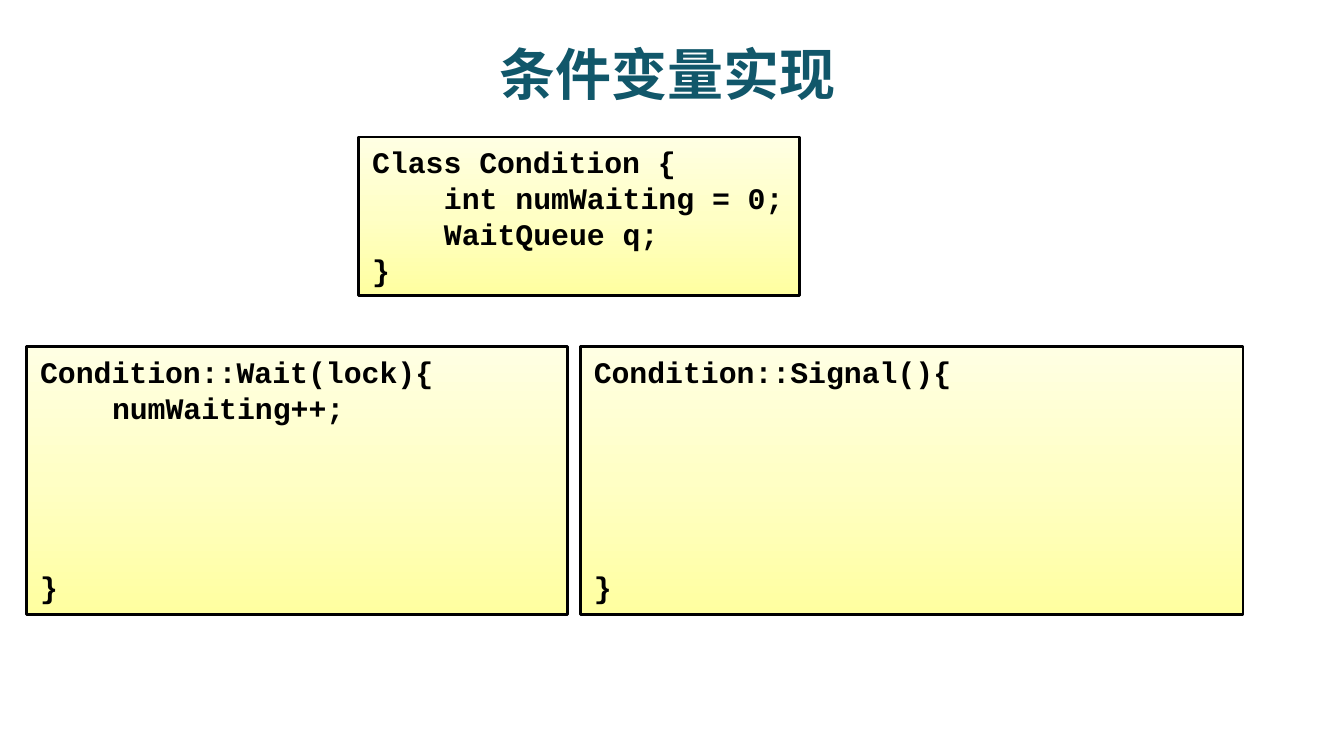
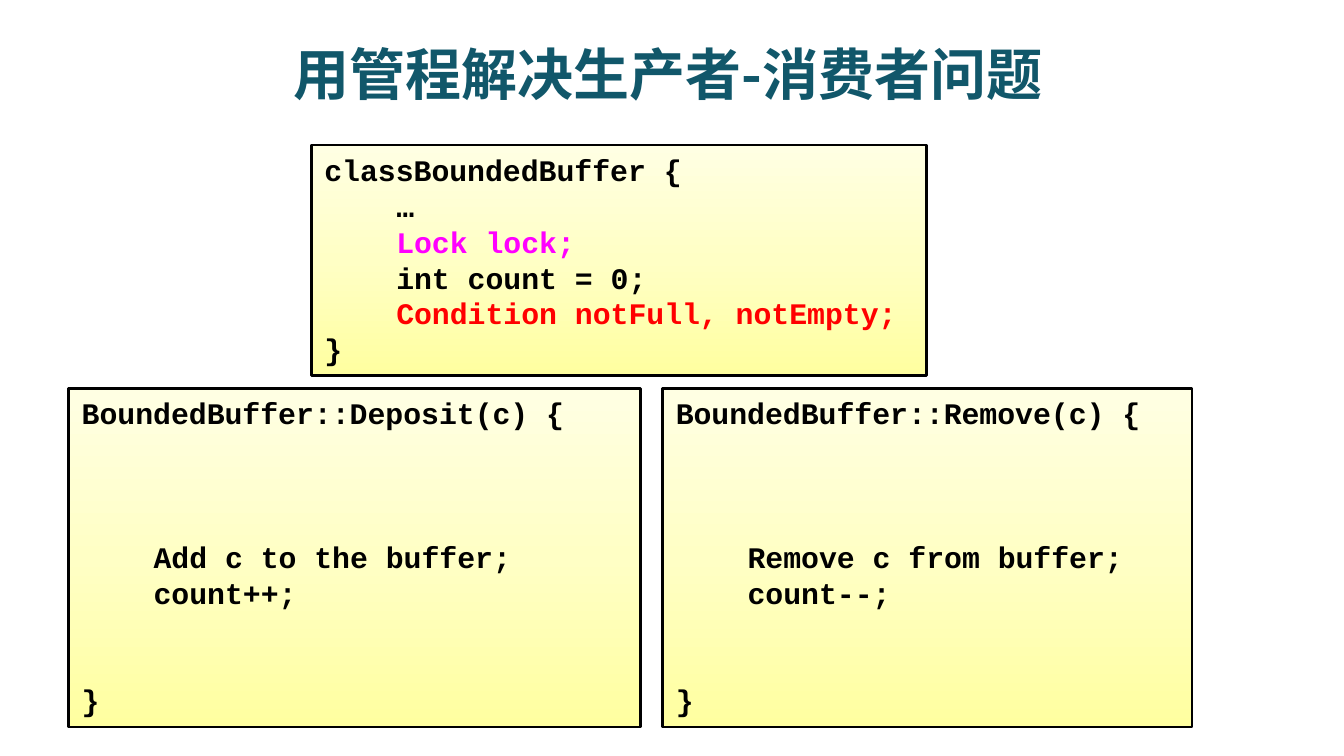
from copy import deepcopy

from pptx import Presentation
from pptx.dml.color import RGBColor
from pptx.enum.shapes import MSO_SHAPE
from pptx.enum.text import MSO_ANCHOR, PP_ALIGN
from pptx.util import Pt

PX = 4572  # 200 px to the inch
TITLE_FONT, CODE_FONT = "Noto Sans CJK SC", "Courier New"
TEAL, BLACK, MAGENTA, RED = "11576A", "000000", "FF00FF", "FF0000"
GRADIENT = [(0, "FFFFA0"), (0.5, "FFFFC5"), (1, "FFFFE3")]
LINE_PITCH = 19.2  # points
CODE_INDENT = 107  # four characters of code

# Each panel: left, top, width, height, code; an empty line leaves a gap
SLIDES = [
    ("条件变量实现", [
        (40, 516, 804, 398, ["Condition::Wait(lock){", "    numWaiting++;",
                             "", "", "", "", "}"]),
        (864, 516, 986, 398, ["Condition::Signal(){", "", "", "", "", "", "}"]),
        (534, 204, 656, 236, ["Class Condition {", "    int numWaiting = 0;",
                              "    WaitQueue q;", "}"]),
    ]),
    ("用管程解决生产者-消费者问题", [
        (102, 578, 851, 504, ["BoundedBuffer::Deposit(c) {", "", "", "",
                              "    Add c to the buffer;", "    count++;",
                              "", "", "}"]),
        (986, 578, 788, 504, ["BoundedBuffer::Remove(c) {", "", "", "",
                              "    Remove c from buffer;", "    count--;",
                              "", "", "}"]),
        (463, 216, 916, 343, ["classBoundedBuffer {", "    …", "    Lock lock;",
                              "    int count = 0;",
                              "    Condition notFull, notEmpty;", "}"]),
    ]),
]
HIGHLIGHTS = {"Lock lock;": MAGENTA, "Condition notFull, notEmpty;": RED}


def color(value):
    return RGBColor.from_string(value)


def style(paragraph, font_name, size, value):
    for span in paragraph.runs:
        span.font.name = font_name
        span.font.size = Pt(size)
        span.font.bold = True
        span.font.color.rgb = color(value)
        # East Asian letters take their own font entry
        east_asian = span._r.get_or_add_rPr().makeelement(
            "{http://schemas.openxmlformats.org/drawingml/2006/main}ea",
            {"typeface": font_name})
        span._r.rPr.find("{*}latin").addnext(east_asian)


deck = Presentation()
deck.slide_width, deck.slide_height = 2000 * PX, 1125 * PX

for title, panels in SLIDES:
    page = deck.slides.add_slide(deck.slide_layouts[6])

    # Title
    box = page.shapes.add_textbox(94 * PX, 53 * PX, 1800 * PX, 112 * PX)
    frame = box.text_frame
    frame.word_wrap = True
    frame.vertical_anchor = MSO_ANCHOR.MIDDLE
    frame.text = title
    frame.paragraphs[0].alignment = PP_ALIGN.CENTER
    style(frame.paragraphs[0], TITLE_FONT, 30, TEAL)

    # Code panels
    for left, top, width, height, code in panels:
        panel = page.shapes.add_shape(MSO_SHAPE.RECTANGLE, left * PX, top * PX,
                                      width * PX, height * PX)
        panel.shadow.inherit = False
        panel.fill.gradient()
        panel.fill.gradient_angle = 90
        first_stop = panel._element.spPr.find(".//{*}gs")
        first_stop.addnext(deepcopy(first_stop))
        for stop, (position, value) in zip(panel.fill.gradient_stops, GRADIENT):
            stop.position = position
            stop.color.rgb = color(value)
        panel.line.color.rgb = color(BLACK)
        panel.line.width = Pt(1.5)

        frame = panel.text_frame
        frame.word_wrap = False
        frame.vertical_anchor = MSO_ANCHOR.TOP
        frame.text = "\n".join(line.strip() for line in code if line)
        paragraphs = iter(frame.paragraphs)
        gap = 0
        for line in code:
            if not line:
                gap += 1
                continue
            paragraph = next(paragraphs)
            paragraph.alignment = PP_ALIGN.LEFT
            paragraph.line_spacing = Pt(LINE_PITCH)
            paragraph.space_before = Pt(gap * LINE_PITCH)
            if line.startswith(" "):
                paragraph._p.get_or_add_pPr().set("marL", str(CODE_INDENT * PX))
            style(paragraph, CODE_FONT, 16, HIGHLIGHTS.get(line.strip(), BLACK))
            gap = 0

deck.save("out.pptx")
